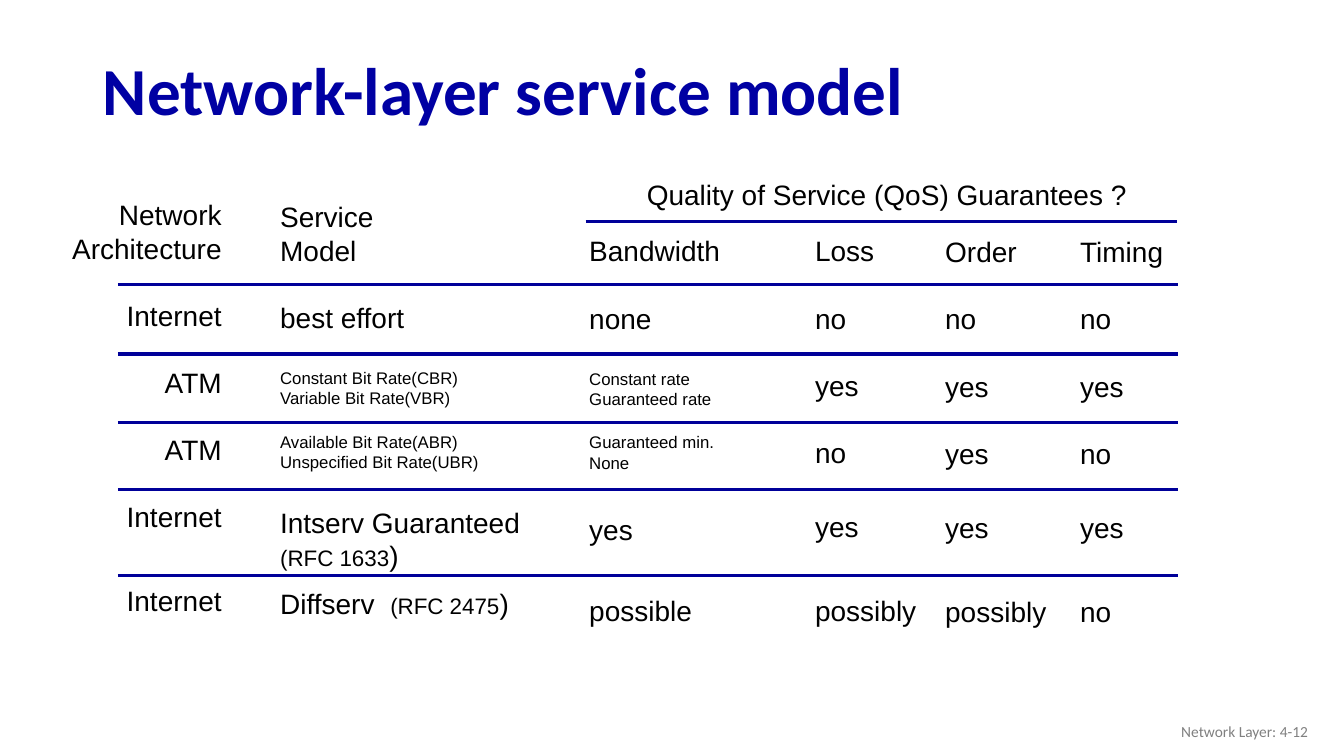
from lxml import etree
from pptx import Presentation
from pptx import util as u
from pptx.enum import shapes, text

COLORS = {"title": "0000A3", "rule": "000099", "body": "000000", "footer": "808080"}
LEFT, RIGHT = text.PP_ALIGN.LEFT, text.PP_ALIGN.RIGHT
MIDDLE, TOP = text.MSO_ANCHOR.MIDDLE, text.MSO_ANCHOR.TOP
GROW, FIXED = text.MSO_AUTO_SIZE.SHAPE_TO_FIT_TEXT, text.MSO_AUTO_SIZE.NONE
A = "{http://schemas.openxmlformats.org/drawingml/2006/main}"


def rgb(name):
    from pptx.dml.color import RGBColor
    return RGBColor.from_string(COLORS[name])


def apply(target, values):
    for name, value in values.items():
        setattr(target, name, value)


class Deck:
    body = {"name": "Arial", "size": u.Pt(20)}

    def __init__(self, prs):
        self.s = prs.slides.add_slide(prs.slide_layouts[5])

    def run(self, p, words, font, color):
        r = p.add_run()
        r.text = words
        apply(r.font, font)
        r.font.color.rgb = rgb(color)

    def title(self, words, box):
        sp = self.s.shapes.title
        apply(sp, dict(zip(("left", "top", "width", "height"), map(u.Cm, box))))
        apply(sp.text_frame, {"vertical_anchor": MIDDLE, "word_wrap": True, "auto_size": FIXED})
        p = sp.text_frame.paragraphs[0]
        apply(p, {"alignment": LEFT, "line_spacing": 0.9})
        self.run(p, words, {"name": "Calibri", "size": u.Pt(48), "bold": True}, "title")

    def box(self, box, wrap, anchor=TOP, fit=GROW):
        tf = self.s.shapes.add_textbox(*map(u.Cm, box)).text_frame
        apply(tf, {"word_wrap": wrap, "vertical_anchor": anchor, "auto_size": fit})
        return tf

    def column(self, box, lines, align=LEFT, wrap=False):
        tf = self.box(box, wrap)
        for i, (gap, size, *parts) in enumerate(lines):
            p = tf.add_paragraph() if i else tf.paragraphs[0]
            apply(p, {"alignment": align, "space_before": u.Pt(gap),
                      "line_spacing": u.Pt(1.2 * size)})
            for part in parts:
                words, points = part if isinstance(part, tuple) else (part, size)
                self.run(p, words, {**self.body, "size": u.Pt(points)}, "body")

    def footer(self, words, box):
        p = self.box(box, True, MIDDLE, FIXED).paragraphs[0]
        p.alignment = RIGHT
        self.run(p, words, {"name": "Calibri", "size": u.Pt(11)}, "footer")

    def rule(self, left, right, y):
        sp = self.s.shapes.add_connector(
            shapes.MSO_CONNECTOR.STRAIGHT, *map(u.Cm, (left, y, right, y)))
        sp.line.color.rgb = rgb("rule")
        sp.line.width = u.Pt(2.25)
        etree.SubElement(sp._element.spPr, A + "effectLst")


ARCHITECTURE = [
    (0, 20, "Network"), (0, 20, "Architecture"), (24, 20, "Internet"), (24, 20, "ATM"),
    (24, 20, "ATM"), (24, 20, "Internet"), (36, 20, "Internet"),
]
MODEL = [
    (0, 20, "Service"), (0, 20, "Model"), (24, 20, "best effort"),
    (24, 12, "Constant Bit Rate(CBR)"), (0, 12, "Variable Bit Rate(VBR)"),
    (16.8, 12, "Available Bit Rate(ABR)"), (0, 12, "Unspecified Bit Rate(UBR)"),
    (24, 20, "Intserv Guaranteed"), (0, 20, ("(RFC 1633", 16), ")"),
    (10, 20, "Diffserv  ", ("(RFC 2475", 16), ")"),
]
BANDWIDTH = [
    (0, 20, "Bandwidth"), (24, 20, "none"),
    (24, 12, "Constant rate"), (0, 12, "Guaranteed rate"),
    (16.8, 12, "Guaranteed min."), (0, 12, "None"),
    (28.8, 20, "yes"), (33.6, 20, "possible"),
]
GUARANTEES = [
    (20.29, 5.77, 3.1, "Loss no yes no yes possibly"),
    (23.57, 5.79, 3.1, "Order no yes yes yes possibly"),
    (26.97, 5.79, 2.62, "Timing no yes no yes no"),
]
GUARANTEE_GAPS = (0, 24, 24, 24, 28.8, 36)


def main():
    prs = Presentation()
    apply(prs, {"slide_width": u.Cm(33.87), "slide_height": u.Cm(19.05)})
    deck = Deck(prs)
    deck.title("Network-layer service model", (2.34, 1.12, 29.21, 2.49))
    deck.column((1.52, 4.85, 4.32, 10.95), ARCHITECTURE, RIGHT)
    deck.column((6.81, 4.9, 7.34, 11.2), MODEL, wrap=True)
    deck.column((14.6, 5.77, 5.94, 10.19), BANDWIDTH, wrap=True)
    for left, top, width, words in GUARANTEES:
        deck.column((left, top, width, 10.26),
                    [(gap, 20, word) for gap, word in zip(GUARANTEE_GAPS, words.split())])
    deck.column((16.05, 4.34, 12.7, 1.12), [(0, 20, "Quality of Service (QoS) Guarantees ?")])
    deck.rule(14.76, 29.67, 5.59)
    for y in (7.16, 8.92, 10.64, 12.34, 14.5):
        deck.rule(2.97, 29.69, y)
    deck.footer("Network Layer: 4-12", (25.6, 17.91, 7.62, 1.02))
    prs.save("out.pptx")


if __name__ == "__main__":
    main()
